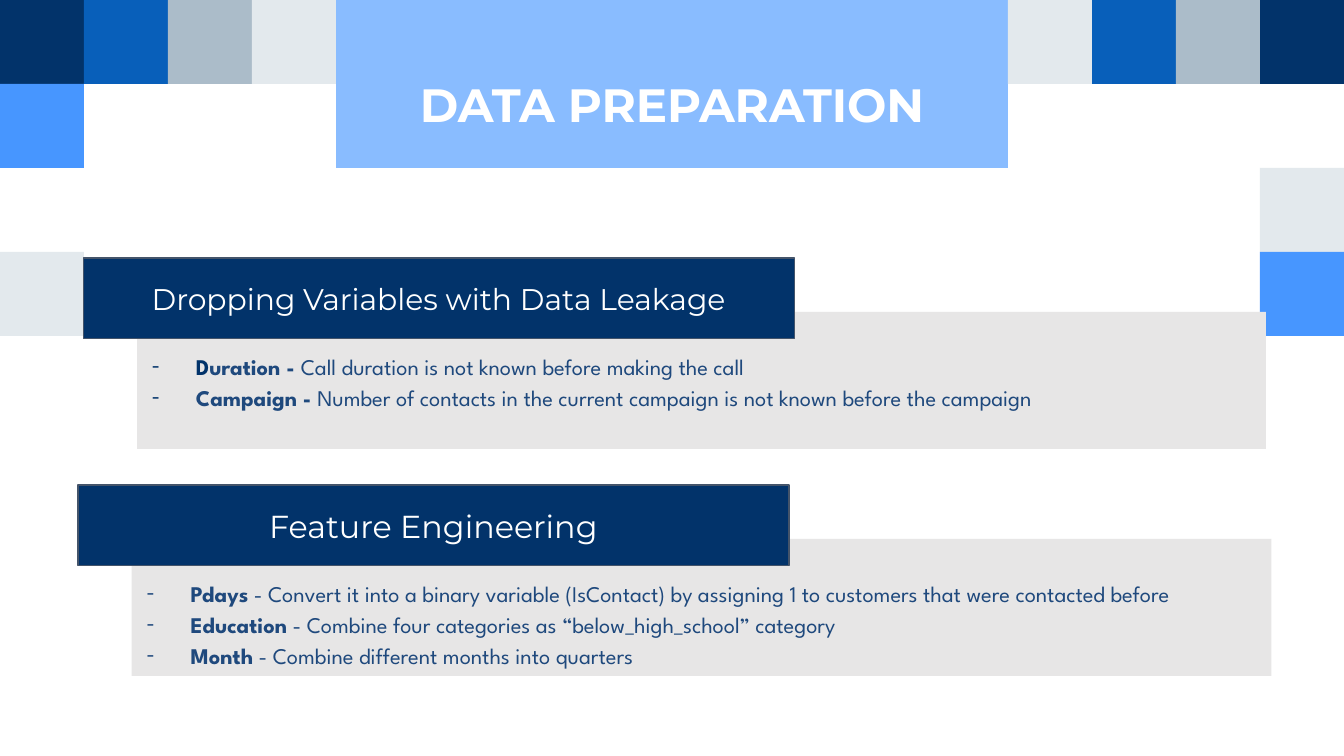
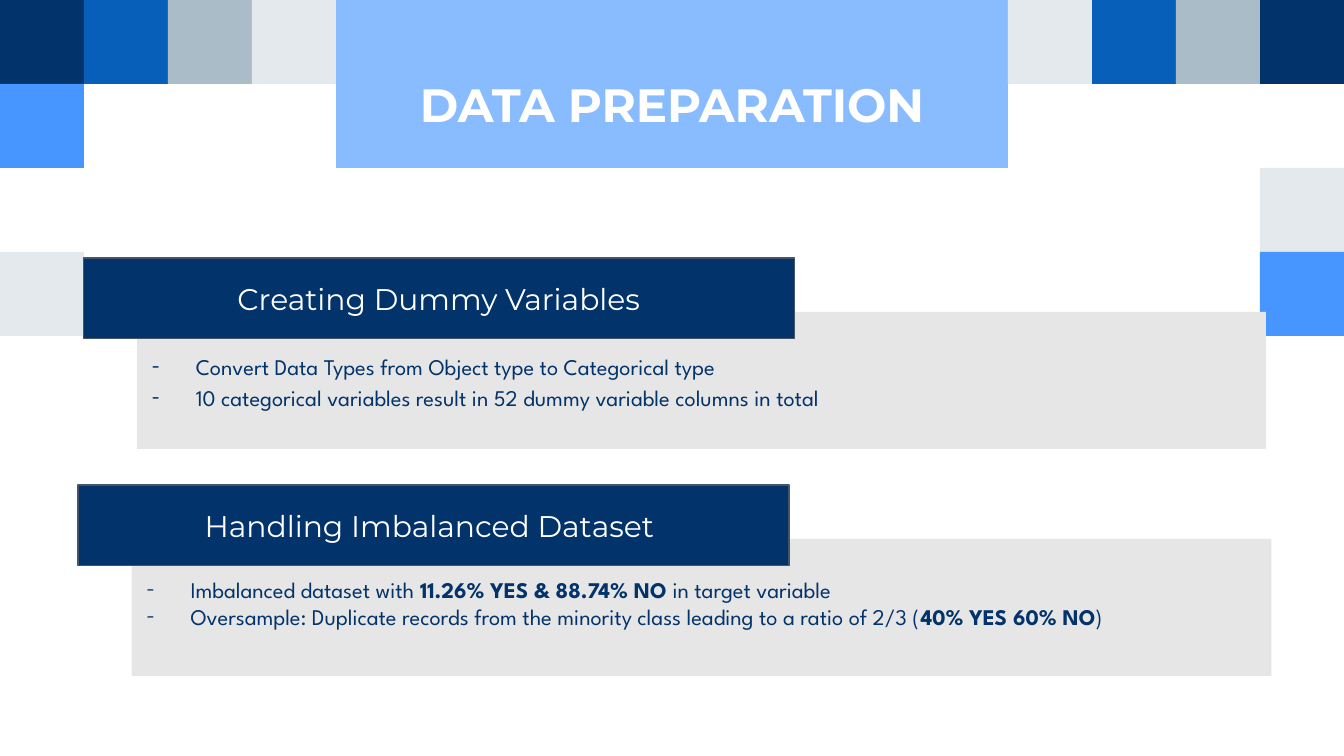
from lxml import etree
from pptx import Presentation
from pptx.dml.color import RGBColor
from pptx.enum import shapes, text
from pptx.oxml import ns
from pptx.util import Inches, Pt

HUES = {
    "navy": "02336A", "ink": "1F497D", "blue": "085FBA", "sky": "4796FF",
    "band": "89BCFF", "steel": "ABBCC9", "mist": "E3E9ED",
    "panel": "E7E6E6", "edge": "44546A", "white": "FFFFFF",
}
HEAD, BODY = "Montserrat", "League Spartan"
TITLE = "DATA PREPARATION"

# Mosaic: hue -> (column, row) cells on a 16-column grid
CELL = 0.625
TILES = {
    "navy": [(0, 0), (15, 0)],
    "blue": [(1, 0), (13, 0)],
    "steel": [(2, 0), (14, 0)],
    "mist": [(3, 0), (12, 0), (15, 2), (0, 3)],
    "sky": [(0, 1), (15, 3)],
}

# Both slides hold two panels: left, top of the header; panel width; bullet hue
SPOTS = [(0.62, 1.92, 8.4, "navy"), (0.58, 3.61, 8.48, "ink")]

# Panel: header, header size, line spacing, lines of (text, bold, hue) runs
SLIDES = [
    [
        ("Dropping Variables with Data Leakage", 16, 1.15, [
            [("D", True, "navy"), ("uration - ", True, "ink"),
             ("Call duration is not known before making the call", False, "ink")],
            [("Campaign - ", True, "ink"),
             ("Number of contacts in the current campaign is not known"
              " before the campaign", False, "ink")],
        ]),
        ("Feature Engineering", 17, 1.15, [
            [("Pdays", True, "ink"),
             (" - Convert it into a binary variable (IsContact) by assigning 1"
              " to customers that were contacted before", False, "ink")],
            [("Education", True, "ink"),
             (" - Combine four categories as “below_high_school” category",
              False, "ink")],
            [("Month", True, "ink"),
             (" - Combine different months into quarters", False, "ink")],
        ]),
    ],
    [
        ("Creating Dummy Variables", 16, 1.15, [
            [("Convert Data Types from Object type to Categorical type",
              False, "navy")],
            [("10 categorical variables result in 52 dummy variable columns"
              " in total", False, "navy")],
        ]),
        ("Handling Imbalanced Dataset ", 16, 1, [
            [("Imbalanced dataset with ", False, "navy"),
             ("11.26% YES & 88.74% NO", True, "navy"),
             (" in target variable", False, "navy")],
            [("Oversample: Duplicate records from the minority class leading"
              " to a ratio of 2/3 (", False, "navy"),
             ("40% YES 60% NO", True, "navy"), (")", False, "navy")],
        ]),
    ],
]


def rgb(hue):
    return RGBColor.from_string(HUES[hue])


def paint(part, hue):
    part.fill.solid()
    part.fill.fore_color.rgb = rgb(hue)


def box(slide, hue, *place):
    part = slide.shapes.add_shape(
        shapes.MSO_SHAPE.RECTANGLE, *map(Inches, place))
    part.shadow.inherit = False
    paint(part, hue)
    part.line.fill.background()
    return part


def frame(part, top=0.1, low=0.1, anchor=text.MSO_ANCHOR.MIDDLE):
    area = part.text_frame
    area.word_wrap = True
    area.auto_size = text.MSO_AUTO_SIZE.NONE
    area.vertical_anchor = anchor
    area.margin_left = area.margin_right = Inches(0.1)
    area.margin_top, area.margin_bottom = Inches(top), Inches(low)
    return area


def style(para, size, face, bold=None, hue=None):
    para.font.size, para.font.name, para.font.bold = Pt(size), face, bold
    if hue:
        para.font.color.rgb = rgb(hue)


def label(area, words, size, bold=False):
    para = area.paragraphs[0]
    para.text = words
    para.alignment = text.PP_ALIGN.CENTER
    style(para, size, HEAD, bold, "white")
    return para


def bullet(para, hue):
    props = para._p.get_or_add_pPr()
    props.set("marL", str(Inches(0.5)))
    props.set("indent", str(Inches(-0.33)))
    tint = etree.SubElement(props, ns.qn("a:buClr"))
    etree.SubElement(tint, ns.qn("a:srgbClr"), val=HUES[hue])
    etree.SubElement(props, ns.qn("a:buFont"), typeface=BODY)
    etree.SubElement(props, ns.qn("a:buChar"), char="-")


def base(slide):
    # Corner mosaic
    for hue, cells in TILES.items():
        for col, row in cells:
            box(slide, hue, col * CELL, row * CELL, CELL, CELL)
    # Title band
    title = slide.shapes.title
    title.left, title.top = Inches(2.5), Inches(0)
    title.width, title.height = Inches(5), Inches(1.25)
    paint(title, "band")
    para = label(frame(title, 0.3, 0), TITLE, 25, True)
    para.space_after = Pt(10)


def panel(slide, spot, item):
    left, top, width, mark = spot
    head, size, gap, lines = item
    box(slide, "panel", left + 0.4, top + 0.4, width, 1.02)
    # Header bar
    bar = box(slide, "navy", left, top, 5.29, 0.6)
    bar.line.color.rgb = rgb("edge")
    bar.line.width = Pt(0.75)
    label(frame(bar), head, size)
    # Dashed list
    note = slide.shapes.add_textbox(
        *map(Inches, (left + 0.24, top + 0.58, 8.97, 0.68)))
    area = frame(note, anchor=text.MSO_ANCHOR.TOP)
    for i, runs in enumerate(lines):
        para = area.add_paragraph() if i else area.paragraphs[0]
        para.line_spacing = float(gap)
        bullet(para, mark)
        style(para, 12, BODY)
        for words, bold, hue in runs:
            run = para.add_run()
            run.text = words
            run.font.bold = bold
            run.font.color.rgb = rgb(hue)


def main():
    deck = Presentation()
    deck.slide_width, deck.slide_height = Inches(10), Inches(5.625)
    for items in SLIDES:
        slide = deck.slides.add_slide(deck.slide_layouts[5])
        base(slide)
        for spot, item in zip(SPOTS, items):
            panel(slide, spot, item)
    deck.save("out.pptx")


if __name__ == "__main__":
    main()
